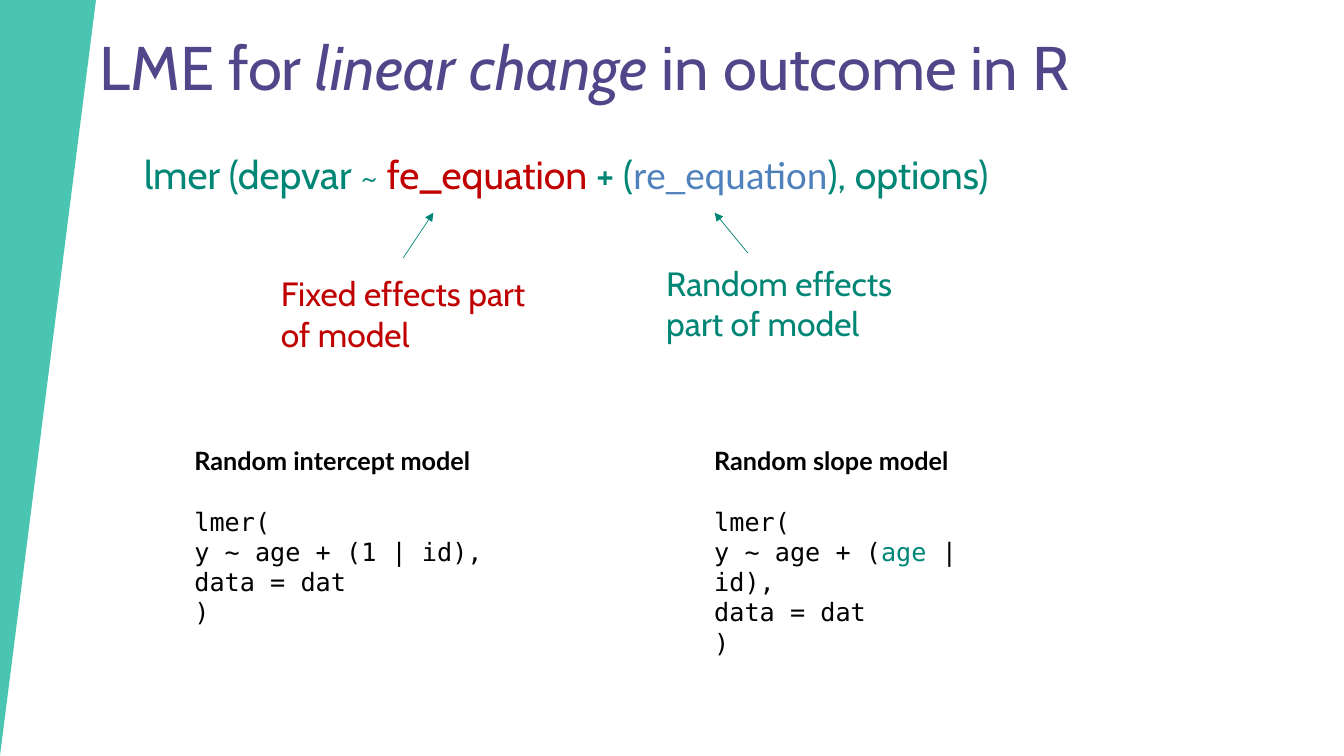
from dataclasses import dataclass
from typing import Optional

from lxml import etree
from pptx import Presentation
from pptx.dml.color import RGBColor
from pptx.enum.shapes import MSO_CONNECTOR, MSO_SHAPE
from pptx.enum.text import MSO_ANCHOR, MSO_AUTO_SIZE, PP_ALIGN
from pptx.oxml.ns import qn
from pptx.util import Cm, Pt

RIGHT_TRIANGLE = MSO_SHAPE.RIGHT_TRIANGLE
STRAIGHT = MSO_CONNECTOR.STRAIGHT
MIDDLE, TOP = MSO_ANCHOR.MIDDLE, MSO_ANCHOR.TOP
NO_FIT = MSO_AUTO_SIZE.NONE
LEFT = PP_ALIGN.LEFT


@dataclass(frozen=True)
class Theme:
    band: str = "49C5B1"
    title: str = "514689"
    teal: str = "008675"
    red: str = "C00000"
    blue: str = "4F81BD"
    ink: str = "000000"
    main_font: str = "Cabin"
    alternate_font: str = "Calibri"
    heading_font: str = "Lato"
    code_font: str = "DejaVu Sans Mono"
    title_size: float = 44
    formula_size: float = 28
    label_size: float = 24
    model_size: float = 18
    heading_gap: float = 21.6
    arrow_width: float = 0.5


THEME = Theme()


@dataclass(frozen=True)
class Span:
    text: str
    color: str
    font: str = THEME.main_font
    bold: bool = False
    italic: bool = False


@dataclass(frozen=True)
class Box:
    left: float
    top: float
    width: float
    height: float


@dataclass(frozen=True)
class Label:
    text: str
    color: str
    box: Box
    arrow_start: tuple[float, float]
    arrow_end: tuple[float, float]


@dataclass(frozen=True)
class Model:
    heading: str
    formula: list[Span]
    left: float


def code(text: str, color: str = THEME.ink) -> Span:
    return Span(text, color, THEME.code_font)


TITLE_BOX = Box(2.26, 0.43, 30.33, 2.69)
FORMULA_BOX = Box(3.38, 3.66, 22.86, 6.27)

TITLE = [
    Span("LME for ", THEME.title),
    Span("linear change ", THEME.title, italic=True),
    Span("in outcome in R", THEME.title),
]
FORMULA = [
    Span("lmer (depvar ~ ", THEME.teal),
    Span("fe_equation", THEME.red),
    Span(" + (", THEME.teal),
    Span("re_equation", THEME.blue, THEME.alternate_font),
    Span("), options)", THEME.teal),
]
LABELS = [
    Label("Fixed effects part of model", THEME.red,
          Box(6.83, 6.76, 7.39, 2.31), (10.16, 6.5), (10.92, 5.36)),
    Label("Random effects part of model", THEME.teal,
          Box(16.54, 6.5, 7.39, 2.31), (18.85, 6.38), (18.01, 5.36)),
]
MODELS = [
    Model("Random intercept model", [code("y ~ age + (1 | id),")], 4.65),
    Model("Random slope model",
          [code("y ~ age + ("), code("age", THEME.teal), code(" | id),")], 17.75),
]


def place(shape, box: Box) -> None:
    shape.left, shape.top = Cm(box.left), Cm(box.top)
    shape.width, shape.height = Cm(box.width), Cm(box.height)


def write_spans(para, spans: list[Span], size: float) -> None:
    para.alignment = LEFT
    for span in spans:
        run = para.add_run()
        run.text = span.text
        font = run.font
        font.name, font.size = span.font, Pt(size)
        font.bold, font.italic = span.bold, span.italic
        font.color.rgb = RGBColor.from_string(span.color)


def add_text(slide, box: Box, lines: list[list[Span]], size: float):
    shape = slide.shapes.add_textbox(Cm(box.left), Cm(box.top), Cm(box.width), Cm(box.height))
    frame = shape.text_frame
    frame.word_wrap = True
    frame.vertical_anchor = TOP
    for index, spans in enumerate(lines):
        para = frame.add_paragraph() if index else frame.paragraphs[0]
        write_spans(para, spans, size)
    return frame


def add_band(slide, height: int) -> None:
    band = slide.shapes.add_shape(RIGHT_TRIANGLE, 0, 0, Cm(2.42), height)
    band.shadow.inherit = False
    band.fill.solid()
    band.fill.fore_color.rgb = RGBColor.from_string(THEME.band)
    band.line.fill.background()
    # Put the right angle in the top left corner
    band.element.spPr.find(qn("a:xfrm")).set("flipV", "1")


def add_title(slide) -> None:
    title = slide.shapes.title
    place(title, TITLE_BOX)
    frame = title.text_frame
    frame.auto_size = NO_FIT
    frame.word_wrap = True
    frame.vertical_anchor = MIDDLE
    para = frame.paragraphs[0]
    para.line_spacing = 0.9
    write_spans(para, TITLE, THEME.title_size)


def add_arrow(slide, start: tuple[float, float], end: tuple[float, float]) -> None:
    arrow = slide.shapes.add_connector(STRAIGHT, *(Cm(value) for value in start + end))
    arrow.line.color.rgb = RGBColor.from_string(THEME.teal)
    arrow.line.width = Pt(THEME.arrow_width)
    properties = arrow.element.spPr
    etree.SubElement(properties.find(qn("a:ln")), qn("a:tailEnd"), type="triangle")
    etree.SubElement(properties, qn("a:effectLst"))


def add_label(slide, label: Label) -> None:
    add_text(slide, label.box, [[Span(label.text, label.color)]], THEME.label_size)
    add_arrow(slide, label.arrow_start, label.arrow_end)


def add_model(slide, model: Model) -> None:
    heading = Span(model.heading, THEME.ink, THEME.heading_font, bold=True)
    lines = [[heading], [code("lmer(")], model.formula, [code("data = dat")], [code(")")]]
    frame = add_text(slide, Box(model.left, 11.1, 7.9, 4.88), lines, THEME.model_size)
    frame.paragraphs[0].space_after = Pt(THEME.heading_gap)


def main() -> None:
    deck = Presentation()
    deck.slide_width, deck.slide_height = Cm(33.87), Cm(19.05)
    slide = deck.slides.add_slide(deck.slide_layouts.get_by_name("Title Only"))

    # Side band and title
    add_band(slide, deck.slide_height)
    add_title(slide)

    # Model formula with its two labelled parts
    add_text(slide, FORMULA_BOX, [FORMULA], THEME.formula_size)
    for label in LABELS:
        add_label(slide, label)

    # Code for each model
    for model in MODELS:
        add_model(slide, model)

    deck.save("out.pptx")


if __name__ == "__main__":
    main()
